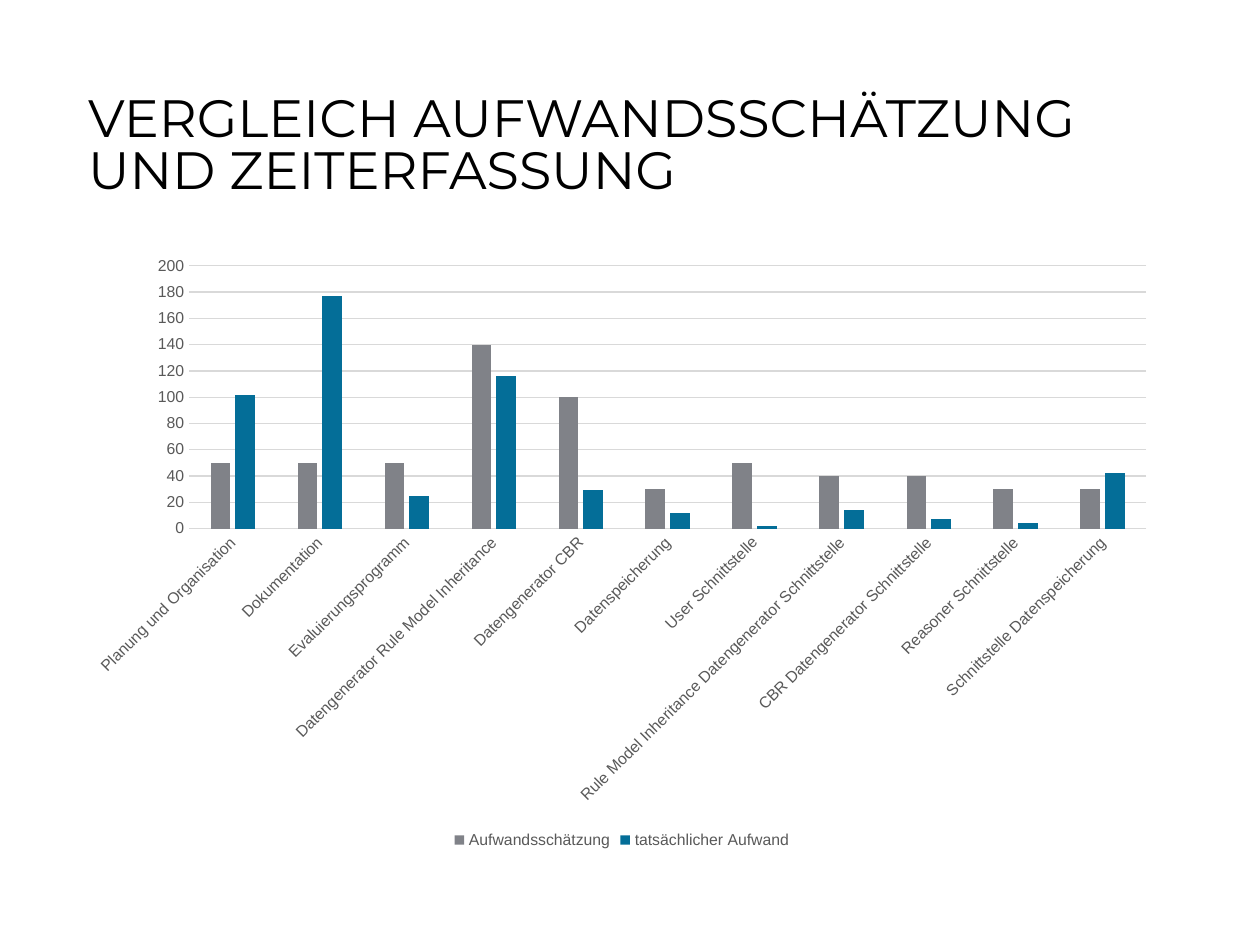
from dataclasses import dataclass

from pptx import Presentation
from pptx.chart.data import CategoryChartData
from pptx.dml.color import RGBColor
from pptx.enum.chart import XL_CHART_TYPE, XL_LEGEND_POSITION, XL_TICK_MARK
from pptx.enum.text import MSO_ANCHOR
from pptx.util import Inches, Pt

COLUMN = XL_CHART_TYPE.COLUMN_CLUSTERED
BOTTOM = XL_LEGEND_POSITION.BOTTOM
NONE = XL_TICK_MARK.NONE
TOP = MSO_ANCHOR.TOP
GREY, RULE = "595959", "D9D9D9"


@dataclass(frozen=True)
class Effort:
    name: str
    color: str
    hours: tuple[int, ...]


TASKS = (
    "Planung und Organisation",
    "Dokumentation",
    "Evaluierungsprogramm",
    "Datengenerator Rule Model Inheritance",
    "Datengenerator CBR",
    "Datenspeicherung",
    "User Schnittstelle",
    "Rule Model Inheritance Datengenerator Schnittstelle",
    "CBR Datengenerator Schnittstelle",
    "Reasoner Schnittstelle",
    "Schnittstelle Datenspeicherung",
)
EFFORTS = (
    Effort("Aufwandsschätzung", "808288",
           (50, 50, 50, 140, 100, 30, 50, 40, 40, 30, 30)),
    Effort("tatsächlicher Aufwand", "046E98",
           (102, 177, 25, 116, 29, 12, 2, 14, 7, 4, 42)),
)


def rgb(code: str) -> RGBColor:
    return RGBColor.from_string(code)


def style(font, face: str, size: float, color: str) -> None:
    font.name, font.size = face, Pt(size)
    font.color.rgb = rgb(color)


def rule(line) -> None:
    line.color.rgb = rgb(RULE)
    line.width = Pt(0.75)


def add_title(slide, text: str) -> None:
    box = slide.shapes.add_textbox(
        Inches(0.6), Inches(0.71), Inches(8.68), Inches(1.03))
    frame = box.text_frame
    frame.word_wrap = True
    frame.vertical_anchor = TOP
    para = frame.paragraphs[0]
    para.line_spacing = 0.83
    run = para.add_run()
    run.text = text
    style(run.font, "Montserrat", 30, "000000")


def add_bars(slide) -> None:
    data = CategoryChartData()
    data.categories = TASKS
    for effort in EFFORTS:
        data.add_series(effort.name, effort.hours)
    chart = slide.shapes.add_chart(
        COLUMN, Inches(0.6), Inches(1.94), Inches(8.67), Inches(4.84), data).chart
    style(chart.font, "Arial", 10, "000000")
    chart.has_title = False
    chart.has_legend = True
    chart.legend.position = BOTTOM
    chart.legend.include_in_layout = False
    style(chart.legend.font, "Arial", 9, GREY)

    plot = chart.plots[0]
    plot.gap_width, plot.overlap = 219, -27
    plot.vary_by_categories = False
    for series, effort in zip(plot.series, EFFORTS):
        series.format.fill.solid()
        series.format.fill.fore_color.rgb = rgb(effort.color)

    tasks, hours = chart.category_axis, chart.value_axis
    for axis in (tasks, hours):
        axis.major_tick_mark = axis.minor_tick_mark = NONE
        style(axis.tick_labels.font, "Arial", 9, GREY)
    rule(tasks.format.line)
    turn = tasks.tick_labels.font._element.getparent().getparent().getparent()
    turn.bodyPr.set("rot", "-2700000")
    hours.format.line.fill.background()
    hours.minimum_scale, hours.maximum_scale, hours.major_unit = 0, 200, 20
    hours.has_major_gridlines = True
    rule(hours.major_gridlines.format.line)


def main() -> None:
    """Build the slide comparing estimated and recorded effort."""
    deck = Presentation()
    deck.slide_width, deck.slide_height = Inches(10), Inches(7.5)
    slide = deck.slides.add_slide(deck.slide_layouts[6])
    add_title(slide, "VERGLEICH AUFWANDSSCHÄTZUNG UND ZEITERFASSUNG")
    add_bars(slide)
    deck.save("out.pptx")


main()
